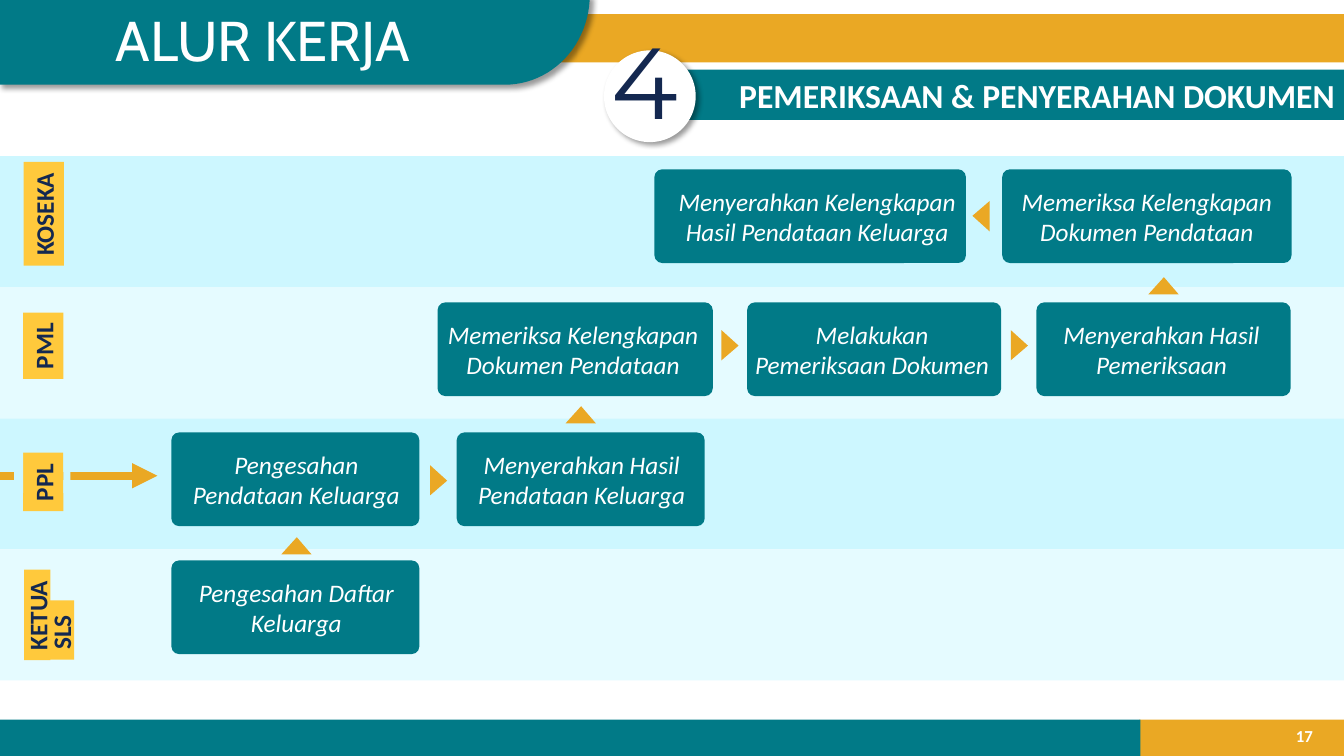
import math
from lxml import etree
from pptx import Presentation
from pptx import util as u
from pptx.dml.color import RGBColor
from pptx.enum import shapes, text
from pptx.oxml.ns import qn

HUES = {"teal": "017A87", "gold": "EAA824", "amber": "FFC93C", "navy": "142850",
        "aqua": "CDF7FF", "pale": "E5FBFF", "white": "FFFFFF", "black": "000000"}
KINDS = shapes.MSO_SHAPE
LEFT, MID, RIGHT = text.PP_ALIGN.LEFT, text.PP_ALIGN.CENTER, text.PP_ALIGN.RIGHT


def hue(name):
    return RGBColor.from_string(HUES[name])


def write(shape, words, size=18, font="Calibri", color="white", bold=False,
          slant=False, align=LEFT, wrap=True, anchor=text.MSO_ANCHOR.TOP):
    frame = shape.text_frame
    frame.word_wrap = wrap
    frame.vertical_anchor = anchor
    para = frame.paragraphs[0]
    para.alignment = align
    run = para.add_run()
    run.text = words
    run.font.size = u.Pt(size)
    run.font.name = font
    run.font.bold = bold
    run.font.italic = slant
    run.font.color.rgb = hue(color)


class Deck:
    def __init__(self):
        self.file = Presentation()
        self.file.slide_width = u.Inches(13.33)
        self.file.slide_height = u.Inches(7.5)
        self.slide = self.file.slides.add_slide(self.file.slide_layouts[6])

    def paint(self, shape, fill):
        shape.shadow.inherit = False
        shape.fill.solid()
        shape.fill.fore_color.rgb = hue(fill)
        shape.line.fill.background()
        return shape

    def box(self, x, y, w, h, fill, kind=KINDS.RECTANGLE, turn=0):
        shape = self.slide.shapes.add_shape(kind, *map(u.Inches, (x, y, w, h)))
        shape.rotation = turn
        return self.paint(shape, fill)

    def note(self, x, y, w, h, words, turn=0, **form):
        shape = self.slide.shapes.add_textbox(*map(u.Inches, (x, y, w, h)))
        shape.rotation = turn
        write(shape, words, **form)

    def shade(self, shape):
        effects = shape._element.spPr.find(qn("a:effectLst"))
        cast = etree.SubElement(effects, qn("a:outerShdw"), blurRad=str(u.Pt(4)),
                                dist=str(u.Pt(3)), dir="2700000", algn="tl", rotWithShape="0")
        tint = etree.SubElement(cast, qn("a:srgbClr"), val=HUES["black"])
        etree.SubElement(tint, qn("a:alpha"), val="40000")

    def banner(self, left, top, right, low, curve):
        # Bottom right corner is a quarter of an ellipse
        tall = low - top
        arc = [(right - curve + curve * math.cos(a), top + tall * math.sin(a))
               for a in (math.pi / 2 * i / 24 for i in range(25))]
        pen = self.slide.shapes.build_freeform(u.Inches(left), u.Inches(top))
        pen.add_line_segments([(u.Inches(x), u.Inches(y)) for x, y in arc + [(left, low)]])
        self.shade(self.paint(pen.convert_to_shape(), "teal"))

    def arrow(self, x1, x2, y):
        line = self.slide.shapes.add_connector(
            shapes.MSO_CONNECTOR.STRAIGHT, *map(u.Inches, (x1, y, x2, y)))
        line.line.color.rgb = hue("gold")
        line.line.width = u.Pt(6)
        etree.SubElement(line.line._get_or_add_ln(), qn("a:tailEnd"), type="triangle")
        etree.SubElement(line._element.spPr, qn("a:effectLst"))

    def label(self, x, y, w, words):
        tag = self.box(x, y, w, 0.4, "amber", turn=270)
        write(tag, words, color="navy", bold=True, wrap=False)

    def step(self, x, y, w, words, shift=-0.04, wide=2.56):
        card = self.box(x, y, w, 0.93, "teal", KINDS.ROUNDED_RECTANGLE)
        card.adjustments[0] = 0.083
        self.note(x + shift, y + 0.12, wide, 0.71, words, slant=True, align=MID)

    def wedge(self, x, y, turn=0):
        tip = self.box(x, y, 0.3, 0.17, "gold", KINDS.ISOSCELES_TRIANGLE, turn)
        tip.adjustments[0] = 0.514


def main():
    deck = Deck()

    # Footer and header
    deck.box(11.3, 7.14, 2.03, 0.36, "gold")
    deck.box(5.05, 0.14, 8.28, 0.48, "gold")
    deck.note(12.65, 7.1, 0.47, 0.4, "17", size=12, bold=True, align=RIGHT,
              anchor=text.MSO_ANCHOR.MIDDLE)
    deck.box(-0.01, 7.14, 11.32, 0.36, "teal")
    deck.banner(-0.01, -0.05, 5.85, 0.84, 0.84)
    head = deck.box(6.49, 0.69, 6.85, 0.5, "teal")
    write(head, "PEMERIKSAAN & PENYERAHAN DOKUMEN", size=24, bold=True, align=RIGHT)
    deck.note(1.05, 0.01, 3.54, 0.77, "ALUR KERJA", size=40, font="Cabin", wrap=False)

    # Lanes
    for row in range(4):
        deck.box(0, 1.55 + 1.3 * row, 13.35, 1.3, ("aqua", "pale")[row % 2])

    # Section number
    disc = deck.box(5.99, 0.5, 0.91, 0.91, "white", KINDS.OVAL)
    deck.shade(disc)
    deck.note(5.97, 0.14, 0.88, 1.31, "4", size=72, font="Montserrat", color="navy")

    # Lane labels, with the arrow that enters behind PPL
    deck.label(-0.08, 1.92, 1.03, "KOSEKA")
    deck.label(0.1, 3.23, 0.66, "PML")
    deck.arrow(-0.63, 1.56, 4.72)
    deck.label(0.14, 4.58, 0.58, "PPL")
    deck.box(0.63, 4.38, 0.07, 0.51, "aqua")
    deck.box(0.14, 4.38, 0.09, 0.51, "aqua")
    deck.box(0.31, 6.12, 0.59, 0.26, "amber", turn=270)
    deck.box(-0.08, 5.97, 0.9, 0.26, "amber", turn=270)
    for x, y, w, words in ((-0.08, 5.9, 0.9, "KETUA"), (0.33, 6.07, 0.55, "SLS")):
        deck.note(x, y, w, 0.4, words, turn=270, color="navy", bold=True, wrap=False)

    # Steps, from the lowest lane up
    deck.step(1.7, 5.56, 2.46, "Pengesahan Daftar Keluarga")
    deck.step(1.7, 4.29, 2.46, "Pengesahan Pendataan Keluarga")
    deck.step(4.53, 4.29, 2.46, "Menyerahkan Hasil Pendataan Keluarga")
    deck.step(4.34, 3, 2.73, "Memeriksa Kelengkapan Dokumen Pendataan", wide=2.77)
    deck.step(7.41, 3, 2.52, "Melakukan Pemeriksaan Dokumen")
    deck.step(10.28, 3, 2.52, "Menyerahkan Hasil Pemeriksaan")
    deck.step(9.94, 1.68, 2.87, "Memeriksa Kelengkapan Dokumen Pendataan", 0, 2.87)
    deck.step(6.49, 1.68, 3.09, "Menyerahkan Kelengkapan Hasil Pendataan Keluarga", 0.13, 2.97)

    # Wedges between steps
    for x, y, turn in ((2.79, 5.33, 0), (4.2, 4.68, 90), (5.61, 4.03, 0), (7.09, 3.34, 90),
                       (9.96, 3.34, 90), (11.39, 2.75, 0), (9.58, 2.06, 270)):
        deck.wedge(x, y, turn)

    deck.file.save("out.pptx")


if __name__ == "__main__":
    main()
